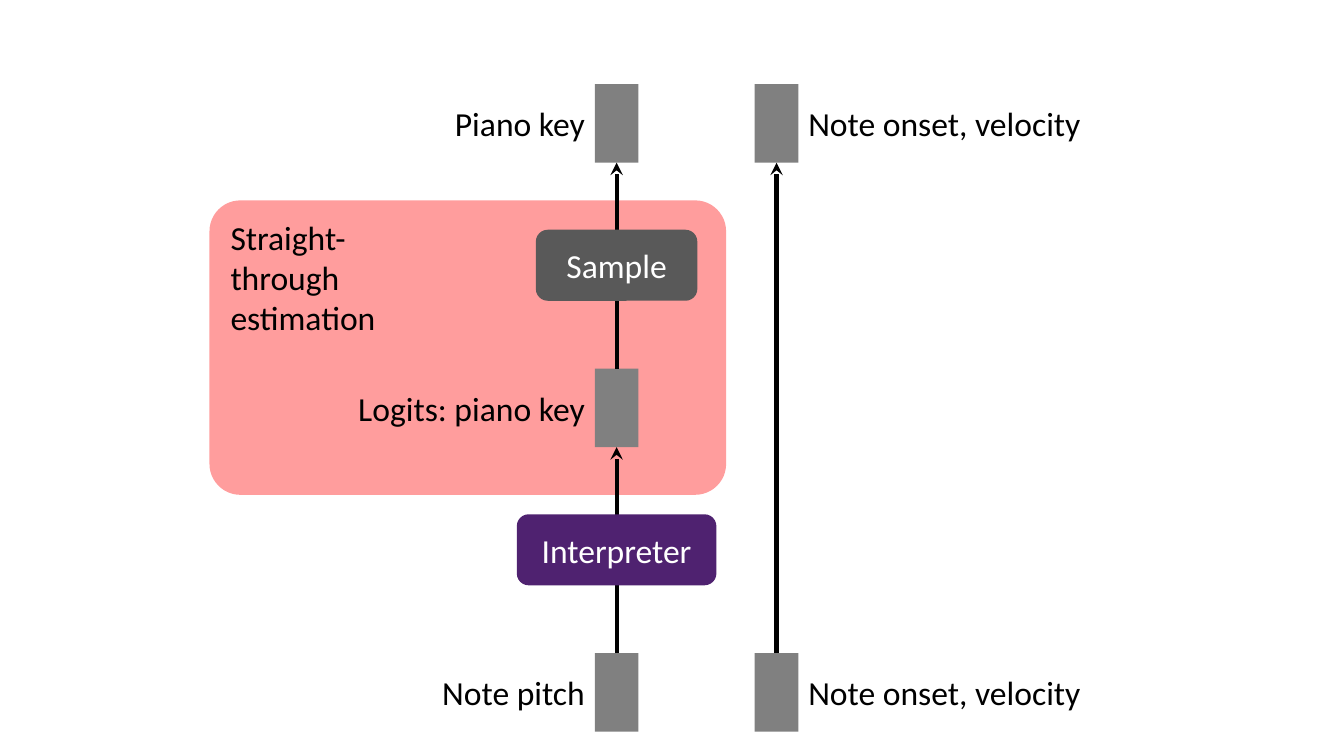
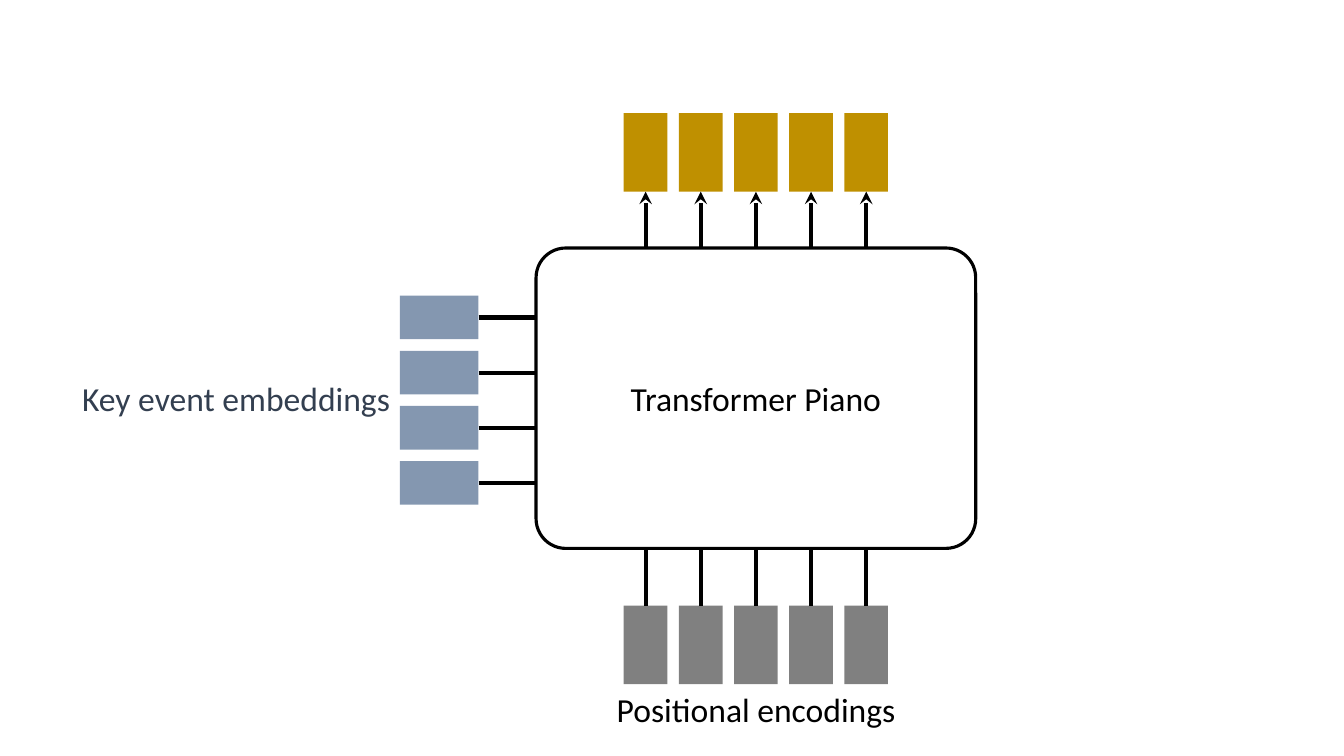
"""Build two diagram slides of a piano model: key sampling and the transformer."""
from dataclasses import dataclass

from lxml.etree import SubElement
from pptx import Presentation
from pptx.dml.color import RGBColor
from pptx.enum.shapes import MSO_CONNECTOR, MSO_SHAPE
from pptx.enum.text import MSO_ANCHOR, MSO_AUTO_SIZE, PP_ALIGN
from pptx.oxml.ns import qn
from pptx.shapes.autoshape import Shape
from pptx.shapes.connector import Connector
from pptx.slide import Slide
from pptx.util import Cm, Pt

BLACK = RGBColor(0x00, 0x00, 0x00)
WHITE = RGBColor(0xFF, 0xFF, 0xFF)
GREY = RGBColor(0x80, 0x80, 0x80)
DARK_GREY = RGBColor(0x59, 0x59, 0x59)
PINK = RGBColor(0xFF, 0x9D, 0x9D)
PURPLE = RGBColor(0x4F, 0x22, 0x70)
GOLD = RGBColor(0xBF, 0x90, 0x00)
BLUE_GREY = RGBColor(0x84, 0x97, 0xB0)
SLATE = RGBColor(0x33, 0x3F, 0x50)

FONT = "Calibri"
FONT_SIZE = Pt(24)
BLANK_LAYOUT = 6
TOP, BOTTOM, RIGHT = 0, 2, 3
BLOCK_SHORT, BLOCK_LONG = 1.1, 1.98
LABEL_HEIGHT = 1.28
LABEL_DROP = (BLOCK_LONG - LABEL_HEIGHT) / 2


@dataclass(frozen=True)
class Area:
    """A rectangle on the slide, in centimetres."""

    left: float
    top: float
    width: float
    height: float


@dataclass(frozen=True)
class Module:
    """A rounded processing step on the pitch path."""

    text: str
    top: float
    width: float
    fill: RGBColor


@dataclass(frozen=True)
class Label:
    """A caption beside a block of the sampling diagram."""

    text: str
    row: int
    width: float
    on_left: bool


def write(shape: Shape, text: str, color: RGBColor, align: PP_ALIGN) -> None:
    """Set the text of a shape in the deck's type style."""
    frame = shape.text_frame
    frame.word_wrap = True
    frame.text = text
    para = frame.paragraphs[0]
    para.alignment = align
    for span in para.runs:
        span.font.name = FONT
        span.font.size = FONT_SIZE
        span.font.color.rgb = color


def add_label(page: Slide, area: Area, text: str, align: PP_ALIGN, color: RGBColor = BLACK) -> None:
    """Add a plain text box."""
    box = page.shapes.add_textbox(Cm(area.left), Cm(area.top), Cm(area.width), Cm(area.height))
    write(box, text, color, align)
    box.text_frame.auto_size = MSO_AUTO_SIZE.SHAPE_TO_FIT_TEXT


def add_box(page: Slide, area: Area, fill: RGBColor, kind: MSO_SHAPE = MSO_SHAPE.RECTANGLE) -> Shape:
    """Add a flat filled shape without an outline."""
    box = page.shapes.add_shape(kind, Cm(area.left), Cm(area.top), Cm(area.width), Cm(area.height))
    box.shadow.inherit = False
    box.fill.solid()
    box.fill.fore_color.rgb = fill
    box.line.fill.background()
    return box


def add_module(page: Slide, area: Area, text: str, fill: RGBColor, color: RGBColor) -> Shape:
    """Add a rounded box with centred text."""
    box = add_box(page, area, fill, MSO_SHAPE.ROUNDED_RECTANGLE)
    write(box, text, color, PP_ALIGN.CENTER)
    box.text_frame.vertical_anchor = MSO_ANCHOR.MIDDLE
    return box


def add_arrow(page: Slide) -> Connector:
    """Add a styled arrow whose ends are still to be placed."""
    arrow = page.shapes.add_connector(MSO_CONNECTOR.STRAIGHT, 0, 0, 0, 0)
    arrow.line.color.rgb = BLACK
    arrow.line.width = Pt(3)
    SubElement(arrow.line._get_or_add_ln(), qn("a:tailEnd"), type="stealth")
    SubElement(arrow._element.spPr, qn("a:effectLst"))
    return arrow


def join_upward(page: Slide, lower: Shape, upper: Shape) -> None:
    """Draw an arrow from the top of one block to the bottom of another."""
    arrow = add_arrow(page)
    arrow.begin_connect(lower, TOP)
    arrow.end_connect(upper, BOTTOM)


def build_sampling(page: Slide) -> None:
    """Draw the path from note pitch to piano key."""
    pitch_center, onset_center = 15.54, 19.57
    half = BLOCK_SHORT / 2
    row_tops = [2.12 + 7.17 * row for row in range(3)]
    panel = add_box(page, Area(5.28, 5.05, 13.02, 7.42), PINK, MSO_SHAPE.ROUNDED_RECTANGLE)
    panel.adjustments[0] = 0.105
    add_label(page, Area(5.56, 5.33, 4.83, 3.33), "Straight-through estimation", PP_ALIGN.LEFT)

    key, logits, pitch = [
        add_box(page, Area(pitch_center - half, top, BLOCK_SHORT, BLOCK_LONG), GREY) for top in row_tops
    ]
    onset_out, onset_in = [
        add_box(page, Area(onset_center - half, top, BLOCK_SHORT, BLOCK_LONG), GREY) for top in row_tops[::2]
    ]
    for lower, upper in ((logits, key), (pitch, logits), (onset_in, onset_out)):
        join_upward(page, lower, upper)

    for module in (Module("Sample", 5.79, 4.07, DARK_GREY), Module("Interpreter", 12.96, 5.03, PURPLE)):
        area = Area(pitch_center - module.width / 2, module.top, module.width, 1.79)
        add_module(page, area, module.text, module.fill, WHITE)

    labels = (
        Label("Piano key", 0, 4.11, True),
        Label("Logits: piano key", 1, 6.71, True),
        Label("Note pitch", 2, 4.47, True),
        Label("Note onset, velocity", 0, 7.57, False),
        Label("Note onset, velocity", 2, 7.57, False),
    )
    for label in labels:
        left = pitch_center - half - label.width if label.on_left else onset_center + half
        area = Area(left, row_tops[label.row] + LABEL_DROP, label.width, LABEL_HEIGHT)
        add_label(page, area, label.text, PP_ALIGN.RIGHT if label.on_left else PP_ALIGN.LEFT)


def build_transformer(page: Slide) -> None:
    """Draw the transformer with its inputs and outputs."""
    pitch = 1.39
    for column in range(5):
        left = 15.72 + pitch * column
        output = add_box(page, Area(left, 2.85, BLOCK_SHORT, BLOCK_LONG), GOLD)
        encoding = add_box(page, Area(left, 15.26, BLOCK_SHORT, BLOCK_LONG), GREY)
        join_upward(page, encoding, output)

    for row in range(4):
        event = add_box(page, Area(10.08, 7.45 + pitch * row, BLOCK_LONG, BLOCK_SHORT), BLUE_GREY)
        arrow = add_arrow(page)
        arrow.begin_connect(event, RIGHT)
        arrow.end_x, arrow.end_y = Cm(15.09), arrow.begin_y

    transformer = add_module(page, Area(13.51, 6.25, 11.08, 7.57), "Transformer Piano", WHITE, BLACK)
    transformer.adjustments[0] = 0.099
    transformer.line.color.rgb = BLACK
    transformer.line.width = Pt(2.25)
    add_label(page, Area(1.13, 9.4, 8.95, LABEL_HEIGHT), "Key event embeddings", PP_ALIGN.RIGHT, SLATE)
    add_label(page, Area(14.33, 17.23, 9.45, LABEL_HEIGHT), "Positional encodings", PP_ALIGN.CENTER)


def main() -> None:
    """Build and save the deck."""
    deck = Presentation()
    deck.slide_width, deck.slide_height = Cm(33.87), Cm(19.05)
    for build in (build_sampling, build_transformer):
        build(deck.slides.add_slide(deck.slide_layouts[BLANK_LAYOUT]))
    deck.save("out.pptx")


if __name__ == "__main__":
    main()
